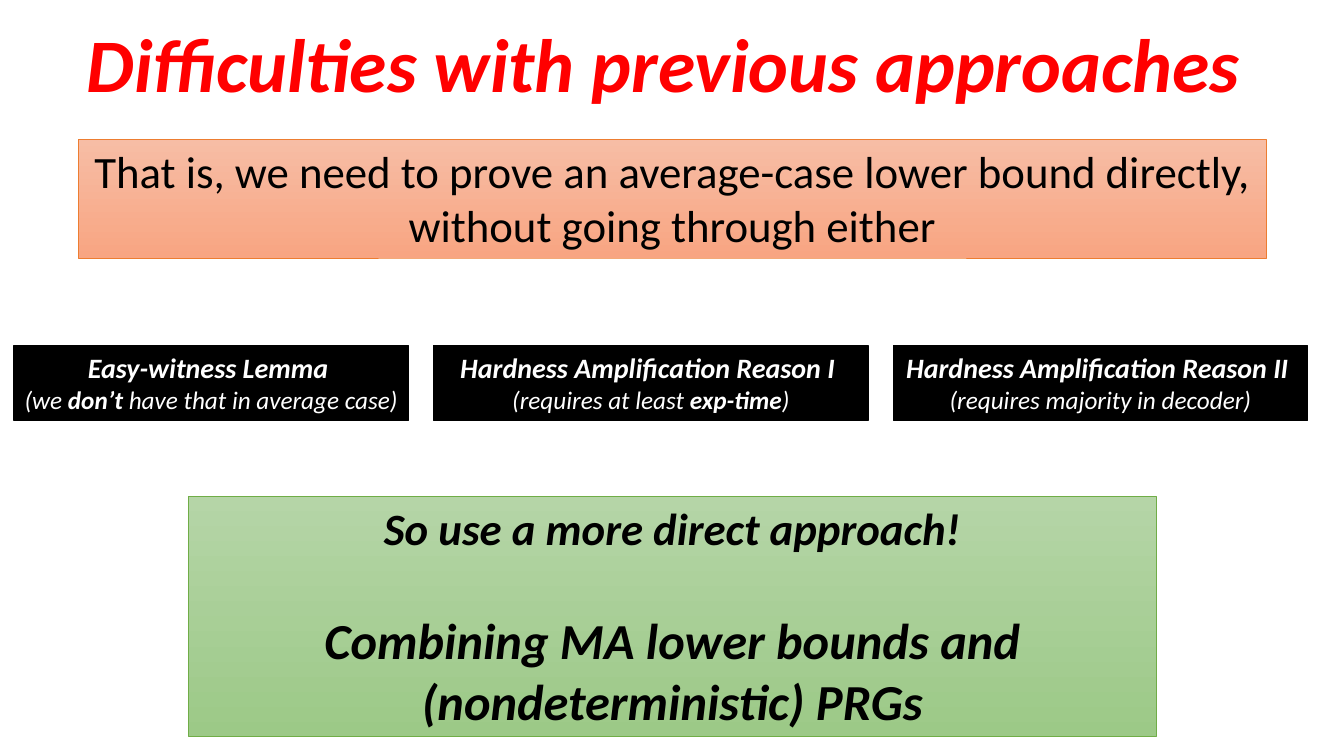
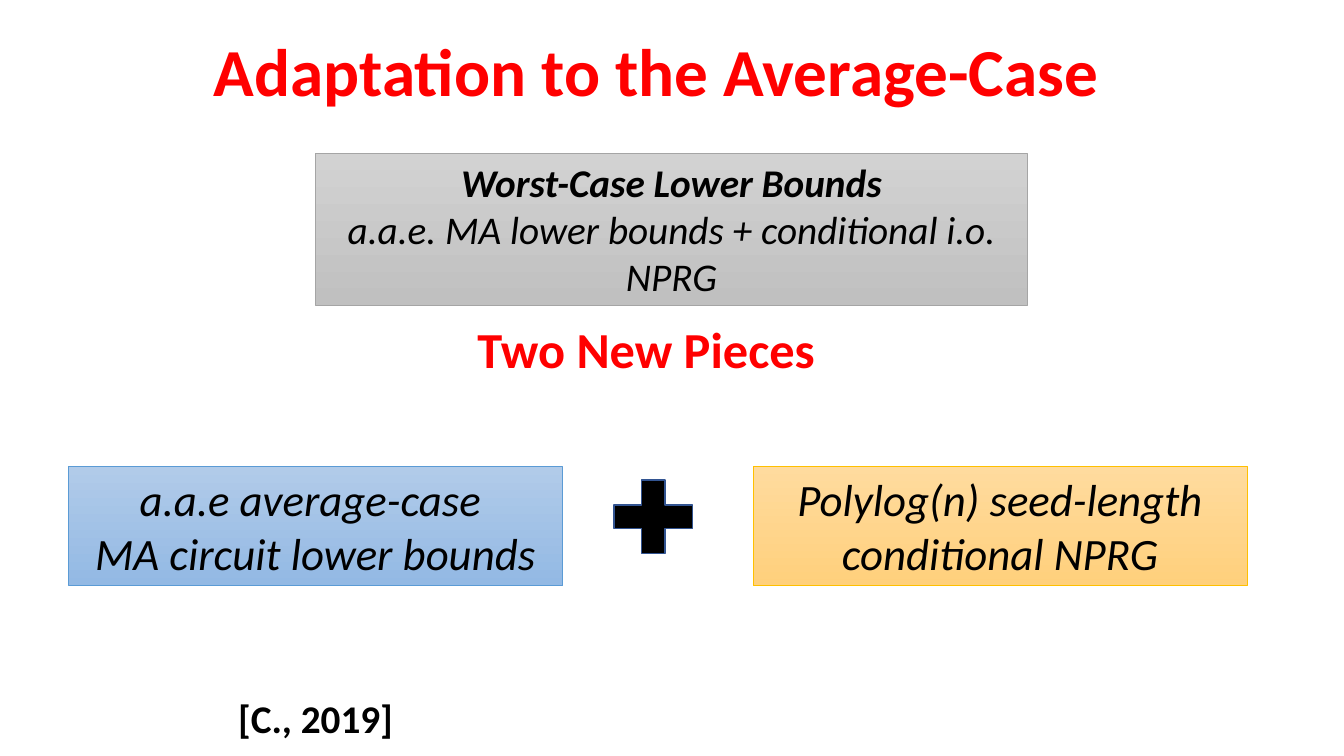
"""Build two slides on adapting circuit lower bounds to the average case."""
from dataclasses import dataclass

from pptx import Presentation
from pptx.dml.color import RGBColor
from pptx.enum.shapes import MSO_SHAPE
from pptx.enum.text import MSO_ANCHOR, MSO_AUTO_SIZE, PP_ALIGN
from pptx.util import Inches, Pt

RECTANGLE, PLUS = MSO_SHAPE.RECTANGLE, MSO_SHAPE.MATH_PLUS
TOP, MIDDLE = MSO_ANCHOR.TOP, MSO_ANCHOR.MIDDLE
CENTER = PP_ALIGN.CENTER
GROW, FIXED = MSO_AUTO_SIZE.SHAPE_TO_FIT_TEXT, MSO_AUTO_SIZE.NONE


@dataclass(frozen=True)
class Theme:
    font: str = "Calibri"
    red: str = "FF0000"
    black: str = "000000"
    white: str = "FFFFFF"
    plus_line: str = "325491"
    orange: tuple = (("F7BDA5", "F8A582"), "ED7D31", 0.5)
    green: tuple = (("B5D5A7", "9CC987"), "70AD47", 0.5)
    gray: tuple = (("D2D2D2", "C0C0C0"), "A5A5A5", 0.5)
    blue: tuple = (("B1CBE9", "93B9E4"), "5B9BD5", 0.5)
    gold: tuple = (("FFDB9E", "FFD07C"), "FFC000", 0.5)
    solid_black: tuple = (("000000",), "000000", 1)
    plain: tuple = (("FFFFFF",), None, 0)
    label: int = 20
    detail: int = 18
    medium: int = 28
    large: int = 32
    heading: int = 36


THEME = Theme()

# Each line of text is (size, spans); each span is (text, style letters).
DIFFICULTIES = {
    "title": ("Difficulties with previous approaches", "bi", 54, (0.07, -0.03, 13.02, 1.4)),
    "goal": [
        (THEME.large, [("That is, we need to prove an average-case lower bound directly,", "")]),
        (THEME.large, [("without going through either", "")]),
    ],
    "obstacles": [
        (3.91, "Easy-witness Lemma ",
         [("(we ", "i"), ("don’t", "bi"), (" have that in average case)", "i")]),
        (4.31, "Hardness Amplification Reason I ",
         [("(requires at least ", "i"), ("exp-time", "bi"), (")", "i")]),
        (4.11, "Hardness Amplification Reason II ",
         [("(requires majority in decoder)", "i")]),
    ],
    "approach": [
        (THEME.large, [("So use a more direct approach!", "bi")]),
        (THEME.heading, [("Combining MA lower bounds and (nondeterministic) PRGs", "bi")]),
    ],
}
ADAPTATION = {
    "title": ("Adaptation to the Average-Case", "b", 48, (0, 0.23, 13.02, 1.03)),
    "worst_case": [
        (THEME.medium, [("Worst-Case Lower Bounds", "bi")]),
        (THEME.medium, [("a.a.e. MA lower bounds + conditional i.o. NPRG", "i")]),
    ],
    "subtitle": [(THEME.heading, [("Two New Pieces", "b")])],
    "pieces": [
        (THEME.blue, [
            (THEME.large, [("a.a.e average-case ", "i")]),
            (THEME.large, [("MA circuit lower bounds", "i")]),
        ]),
        (THEME.gold, [(THEME.large, [("Polylog(n) seed-length conditional NPRG", "i")])]),
    ],
    "citation": [(THEME.medium, [("[C., 2019]", "b")])],
}


def color(value):
    return RGBColor.from_string(value)


def add_span(para, text, style, size, ink):
    span = para.add_run()
    span.text = text
    font = span.font
    font.name, font.size = THEME.font, Pt(size)
    font.bold, font.italic = "b" in style, "i" in style
    font.color.rgb = color(ink)


def add_title(page, text, style, size, bounds):
    title = page.shapes.title
    title.left, title.top, title.width, title.height = map(Inches, bounds)
    frame = title.text_frame
    frame.auto_size, frame.vertical_anchor = FIXED, MIDDLE
    para = frame.paragraphs[0]
    para.alignment, para.line_spacing = CENTER, 0.9
    add_span(para, text, style, size, THEME.red)


def add_box(page, bounds, look, preset=RECTANGLE):
    colors, line, line_width = look
    box = page.shapes.add_shape(preset, *map(Inches, bounds))
    box.shadow.inherit = False
    if len(colors) > 1:
        box.fill.gradient()
        box.fill.gradient_angle = 270
        for stop, value in zip(box.fill.gradient_stops, colors):
            stop.color.rgb = color(value)
    else:
        box.fill.solid()
        box.fill.fore_color.rgb = color(colors[0])
    if line:
        box.line.color.rgb = color(line)
        box.line.width = Pt(line_width)
    else:
        box.line.fill.background()
    return box


def add_panel(page, bounds, look, lines, ink=THEME.black, wrap=True, gap=0):
    frame = add_box(page, bounds, look).text_frame
    frame.word_wrap, frame.auto_size, frame.vertical_anchor = wrap, GROW, TOP
    for index, (size, spans) in enumerate(lines):
        para = frame.add_paragraph() if index else frame.paragraphs[0]
        para.alignment = CENTER
        if index and gap:
            para.space_before = Pt(gap)
        for text, style in spans:
            add_span(para, text, style, size, ink)


def build_difficulties(page, content):
    add_title(page, *content["title"])
    add_panel(page, (0.78, 1.38, 11.78, 1.18), THEME.orange, content["goal"], wrap=False)
    add_panel(page, (1.87, 4.92, 9.6, 2.39), THEME.green, content["approach"], gap=39)
    left, gap = 0.14, 0.25
    for width, name, reason in content["obstacles"]:
        lines = [(THEME.label, [(name, "bi")]), (THEME.detail, reason)]
        add_panel(page, (left, 3.43, width, 0.74), THEME.solid_black, lines, THEME.white)
        left += width + gap


def build_adaptation(page, content):
    add_title(page, *content["title"])
    add_panel(page, (3.13, 1.52, 7.06, 1.51), THEME.gray, content["worst_case"])
    add_panel(page, (4.38, 3.11, 4.06, 0.71), THEME.plain, content["subtitle"], THEME.red)
    left, top, width, pitch = 0.68, 4.63, 4.9, 6.79
    for index, (look, lines) in enumerate(content["pieces"]):
        add_panel(page, (left + index * pitch, top, width, 1.18), look, lines)
    add_box(page, (5.95, top, 1.06, 0.99), ((THEME.black,), THEME.plus_line, 1), PLUS)
    add_panel(page, (2.25, 6.84, 1.76, 0.57), THEME.plain, content["citation"], wrap=False)


def main():
    deck = Presentation()
    deck.slide_width, deck.slide_height = Inches(13.33), Inches(7.5)
    title_only = deck.slide_layouts[5]
    for build, content in ((build_difficulties, DIFFICULTIES), (build_adaptation, ADAPTATION)):
        build(deck.slides.add_slide(title_only), content)
    deck.save("out.pptx")


if __name__ == "__main__":
    main()
